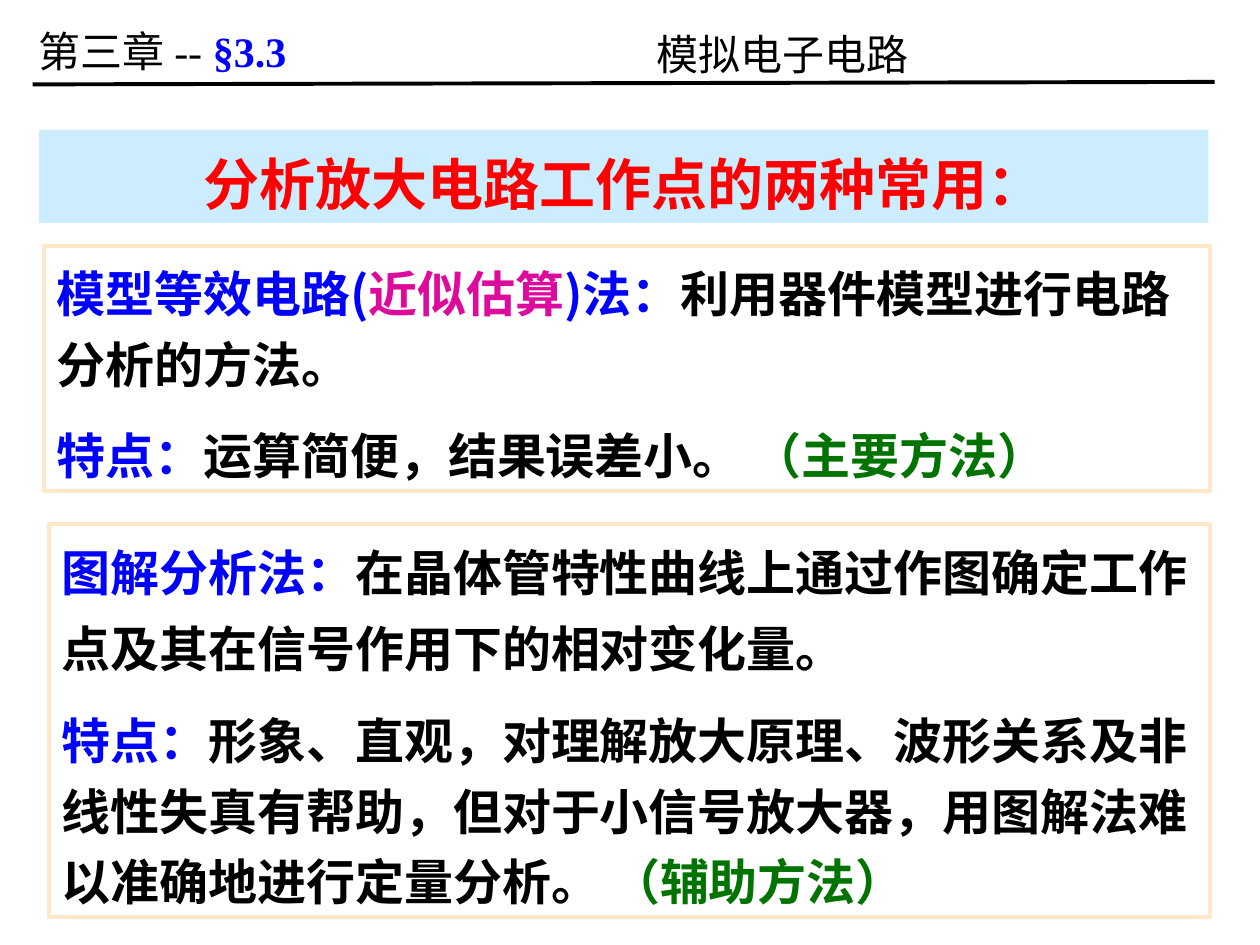
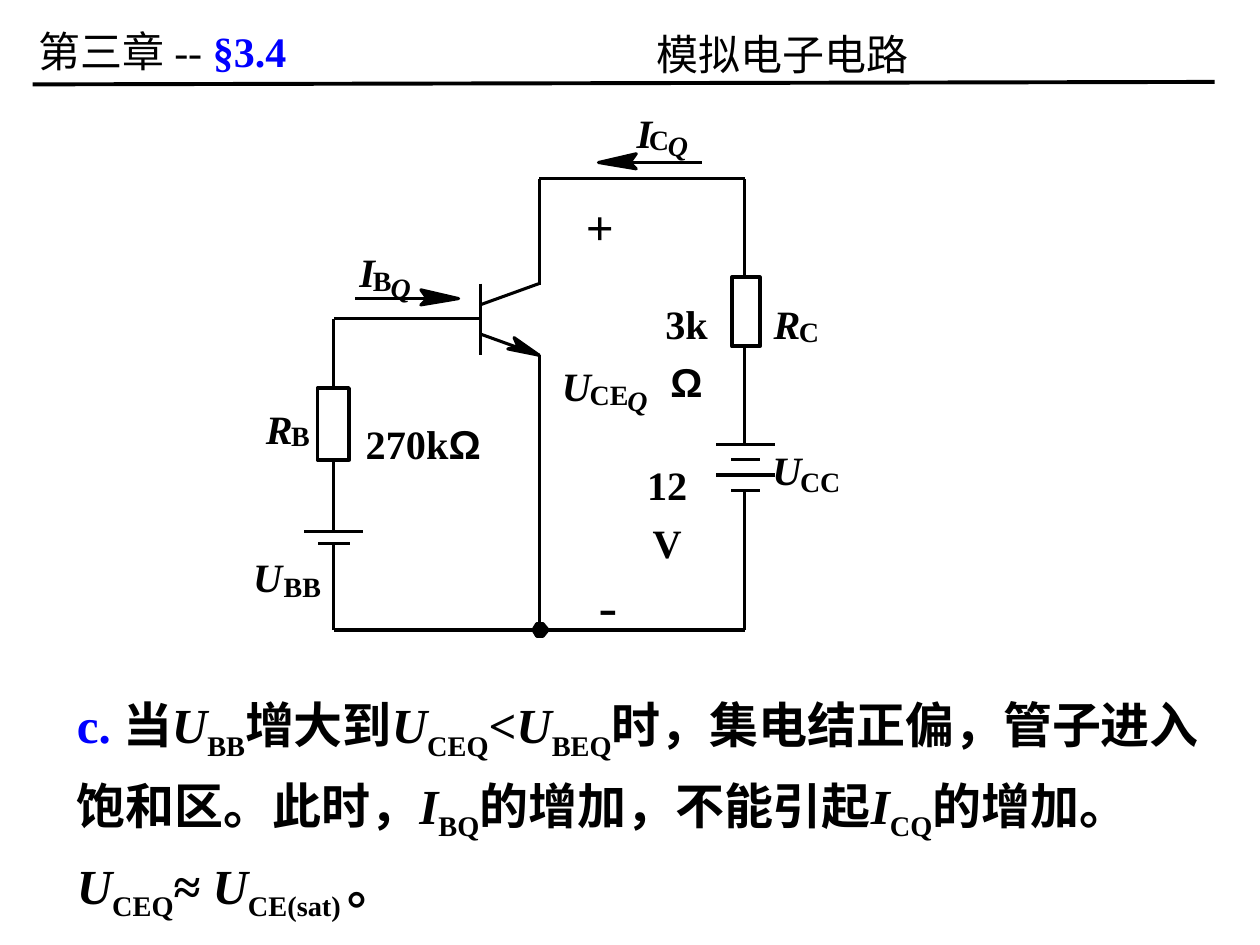
"""Builds two slides on the operating point of a transistor amplifier."""
from lxml.etree import SubElement
from pptx import Presentation
from pptx.dml.color import RGBColor
from pptx.enum.shapes import MSO_CONNECTOR, MSO_SHAPE
from pptx.enum.text import MSO_ANCHOR, MSO_AUTO_SIZE, PP_ALIGN
from pptx.oxml.ns import qn
from pptx.util import Inches, Pt

COLOURS = {
    "black": "000000", "white": "FFFFFF", "blue": "0000FF", "red": "FF0000",
    "pink": "DD0B9C", "green": "007300", "band": "CCECFF", "frame": "FFE8C7",
}
CJK, LATIN, SANS = "Noto Sans CJK SC", "Times New Roman", "Arial"

STYLES = {
    "plain": (CJK, "black", False, False),
    "dash": (LATIN, "black", False, False),
    "section": (LATIN, "blue", True, False),
    "title": (LATIN, "red", True, False),
    "term": (CJK, "blue", True, False),
    "accent": (CJK, "pink", True, False),
    "body": (CJK, "black", True, False),
    "remark": (CJK, "green", True, False),
    "latin": (LATIN, "black", True, False),
    "sub": (LATIN, "black", True, False),
    "variable": (LATIN, "black", True, True),
    "ohm": (SANS, "black", True, False),
}


class Deck:
    """Holds the presentation, its style and the current slide."""

    def __init__(self):
        self.presentation = Presentation()
        self.presentation.slide_width = Inches(10)
        self.presentation.slide_height = Inches(7.5)

    def new_slide(self, layout_index):
        self.slide = self.presentation.slides.add_slide(
            self.presentation.slide_layouts[layout_index])
        self.canvas = self.slide.shapes

    def start_group(self):
        self.canvas = self.slide.shapes.add_group_shape().shapes

    def end_group(self):
        self.canvas = self.slide.shapes

    def colour(self, name):
        return RGBColor.from_string(COLOURS[name])

    def paint(self, shape, fill=None, line=None, width=2.25):
        if fill:
            shape.fill.solid()
            shape.fill.fore_color.rgb = self.colour(fill)
        if line:
            shape.line.color.rgb = self.colour(line)
            shape.line.width = Pt(width)

    def fill_text(self, shape, paragraphs, size, align=PP_ALIGN.LEFT, wrap=True):
        frame = shape.text_frame
        frame.word_wrap = wrap
        frame.vertical_anchor = MSO_ANCHOR.TOP
        for index, (space_before, runs) in enumerate(paragraphs):
            paragraph = frame.add_paragraph() if index else frame.paragraphs[0]
            if shape.is_placeholder:
                properties = paragraph._p.get_or_add_pPr()
                properties.set("marL", "0")
                properties.set("indent", "0")
                SubElement(properties, qn("a:buNone"))
            paragraph.alignment = align
            paragraph.line_spacing = 1.2
            paragraph.space_before = Pt(space_before)
            for text, style in runs:
                self.add_run(paragraph, text, style, size)

    def add_run(self, paragraph, text, style, size):
        run = paragraph.add_run()
        run.text = text
        font = run.font
        font.name, colour, font.bold, font.italic = STYLES[style]
        font.size = Pt(size)
        font.color.rgb = self.colour(colour)
        properties = run._r.get_or_add_rPr()
        SubElement(properties, qn("a:ea")).set("typeface", CJK)
        if style == "sub" and size == 28:
            properties.set("baseline", "-25000")

    def place(self, index, box, paragraphs, size, fill=None, line=None,
              align=PP_ALIGN.LEFT):
        shape = self.slide.placeholders[index]
        shape.left, shape.top, shape.width, shape.height = map(Inches, box)
        self.paint(shape, fill, line)
        self.fill_text(shape, paragraphs, size, align)
        shape.text_frame.auto_size = MSO_AUTO_SIZE.NONE

    def text(self, box, runs, size):
        shape = self.canvas.add_textbox(*map(Inches, box))
        self.fill_text(shape, [(0, runs)], size, wrap=False)
        shape.text_frame.auto_size = MSO_AUTO_SIZE.SHAPE_TO_FIT_TEXT

    def label(self, left, top, width, runs, size, wrap=False):
        height = round(size * 0.02, 2)
        shape = self.canvas.add_textbox(*map(Inches, (left, top, width, height)))
        frame = shape.text_frame
        frame.margin_left = frame.margin_right = 0
        frame.margin_top = frame.margin_bottom = 0
        self.fill_text(shape, [(0, runs)], size, PP_ALIGN.CENTER, wrap)

    def line(self, start_x, start_y, end_x, end_y, width=1.75):
        connector = self.canvas.add_connector(
            MSO_CONNECTOR.STRAIGHT,
            *map(Inches, (start_x, start_y, end_x, end_y)))
        connector.line.color.rgb = self.colour("black")
        connector.line.width = Pt(width)
        SubElement(connector._element.spPr, qn("a:effectLst"))

    def resistor(self, *box):
        shape = self.canvas.add_shape(MSO_SHAPE.RECTANGLE, *map(Inches, box))
        shape.shadow.inherit = False
        self.paint(shape, "white", "black")

    def polygon(self, points):
        first, *others = [(Inches(x), Inches(y)) for x, y in points]
        builder = self.canvas.build_freeform(*first)
        builder.add_line_segments(others, close=True)
        shape = builder.convert_to_shape()
        shape.shadow.inherit = False
        self.paint(shape, "black", "black", 1.75)

    def current_arrow(self, tail, tip, y):
        direction = 1 if tip > tail else -1
        base = tip - 0.3 * direction
        notch = base + 0.05 * direction
        self.line(tail, y, tip - 0.1 * direction, y)
        self.polygon([(base, y - 0.07), (notch, y), (base, y + 0.05), (tip, y)])

    def header(self, section):
        self.line(0.26, 0.67, 9.64, 0.65, 2.25)
        self.text((5.11, 0.1, 2.2, 0.58), [("模拟电子电路", "plain")], 24)
        self.text((0.21, 0.07, 2.45, 0.58),
                  [("第三章 ", "plain"), ("-- ", "dash"), (section, "section")], 24)


def build_methods(deck):
    deck.new_slide(3)
    deck.place(0, (0.31, 1.03, 9.28, 0.74),
               [(0, [("分析放大电路工作点的两种常用：", "title")])],
               32, fill="band", align=PP_ALIGN.CENTER)
    deck.place(1, (0.35, 1.95, 9.25, 1.95), [
        (0, [("模型等效电路(", "term"), ("近似估算", "accent"), (")法：", "term"),
             ("利用器件模型进行电路分析的方法。", "body")]),
        (12, [("特点：", "term"), ("运算简便，结果误差小。 ", "body"),
              ("（主要方法）", "remark")]),
    ], 28, line="frame")
    deck.place(2, (0.39, 4.16, 9.21, 3.12), [
        (0, [("图解分析法：", "term"),
             ("在晶体管特性曲线上通过作图确定工作", "body")]),
        (3.5, [("点及其在信号作用下的相对变化量。", "body")]),
        (12, [("特点：", "term"),
              ("形象、直观，对理解放大原理、波形关系及非", "body")]),
        (0, [("线性失真有帮助，但对于小信号放大器，用图解法难以准确地进行定量分析。 ",
              "body"), ("（辅助方法）", "remark")]),
    ], 28, line="frame")
    deck.header("§3.3")


def draw_circuit(deck):
    base, emitter, supply = 2.65, 4.28, 5.91
    top, bottom, bar = 1.42, 5, 3.81
    deck.start_group()
    wires = [
        (emitter, 2.82, emitter, bottom), (emitter, top, emitter, 2.26),
        (bar, 2.53, base, 2.53), (bar, 2.25, bar, 2.82),
        (bar, 2.42, emitter, 2.25), (bar, 2.65, emitter, 2.82),
        (base, 4.22, base, 2.53), (base, bottom, base, 4.31),
        (supply, top, emitter, top), (supply, bottom, base, bottom),
        (supply, top, supply, 3.53), (supply, 3.9, supply, bottom),
    ]
    for wire in wires:
        deck.line(*wire)
    plates = [(base, 4.22, 0.47), (base, 4.31, 0.25)]
    plates += [(supply + 0.01, 3.53 + 0.12 * step, 0.23 if step % 2 else 0.47)
               for step in range(4)]
    for centre, y, width in plates:
        deck.line(centre - width / 2, y, centre + width / 2, y)
    deck.resistor(2.52, 3.08, 0.25, 0.57)
    deck.resistor(5.81, 2.2, 0.22, 0.55)
    deck.polygon([(4.03, 2.77), (4.11, 2.75), (4.08, 2.68), (emitter, 2.82)])
    deck.polygon([(4.23, 5), (4.26, 4.95), (4.31, 4.95),
                  (4.35, 5), (4.31, 5.05), (4.26, 5.05)])
    deck.current_arrow(5.57, 4.75, 1.29)
    deck.current_arrow(2.82, 3.64, 2.37)
    label_circuit(deck)
    deck.end_group()


def label_circuit(deck):
    symbols = [("I", 5.05, 0.78, 0.13), ("U", 4.46, 2.79, 0.23),
               ("R", 2.11, 3.13, 0.21), ("U", 2.01, 4.31, 0.23),
               ("I", 2.85, 1.89, 0.13), ("U", 6.13, 3.46, 0.23),
               ("R", 6.14, 2.3, 0.21)]
    subscripts = [("C", 5.15, 0.92, 0.16), ("CE", 4.68, 2.94, 0.31),
                  ("B", 2.31, 3.27, 0.15), ("BB", 2.25, 4.47, 0.3),
                  ("B", 2.96, 2.04, 0.15), ("CC", 6.35, 3.63, 0.32),
                  ("C", 6.34, 2.44, 0.16)]
    quiescent = [("Q", 5.3, 0.97, 0.16), ("Q", 4.98, 2.99, 0.16),
                 ("Q", 3.1, 2.09, 0.16)]
    for labels, style, size in ((symbols, "variable", 23),
                                (subscripts, "sub", 16),
                                (quiescent, "variable", 16)):
        for text, left, top, width in labels:
            deck.label(left, top, width, [(text, style)], size)
    deck.label(4.65, 1.47, 0.22, [("+", "latin")], 28)
    deck.label(4.75, 4.42, 0.15, [("-", "dash")], 32)
    deck.label(5.02, 3.58, 0.55, [("12V", "latin")], 23)
    deck.label(2.9, 3.25, 0.92, [("270k", "latin"), ("Ω", "ohm")], 23, wrap=True)
    deck.label(5.17, 2.3, 0.56, [("3k", "latin"), ("Ω", "ohm")], 23, wrap=True)


def build_saturation(deck):
    deck.new_slide(1)
    title = deck.slide.shapes.title._element
    title.getparent().remove(title)
    deck.place(1, (0.51, 5.36, 9.13, 2.01), [(0, [
        ("c. ", "section"), ("当", "body"), ("U", "variable"), ("BB", "sub"),
        ("增大到", "body"), ("U", "variable"), ("CEQ", "sub"), ("<", "latin"),
        ("U", "variable"), ("BEQ", "sub"),
        ("时，集电结正偏，管子进入饱和区。此时，", "body"),
        ("I", "variable"), ("BQ", "sub"), ("的增加，不能引起", "body"),
        ("I", "variable"), ("CQ", "sub"), ("的增加。", "body"),
        ("U", "variable"), ("CEQ", "sub"), ("≈ ", "latin"),
        ("U", "variable"), ("CE(sat) ", "sub"), ("。", "latin"),
    ])], 28)
    draw_circuit(deck)
    deck.header("§3.4")


def main():
    deck = Deck()
    build_methods(deck)
    build_saturation(deck)
    deck.presentation.save("out.pptx")


if __name__ == "__main__":
    main()
